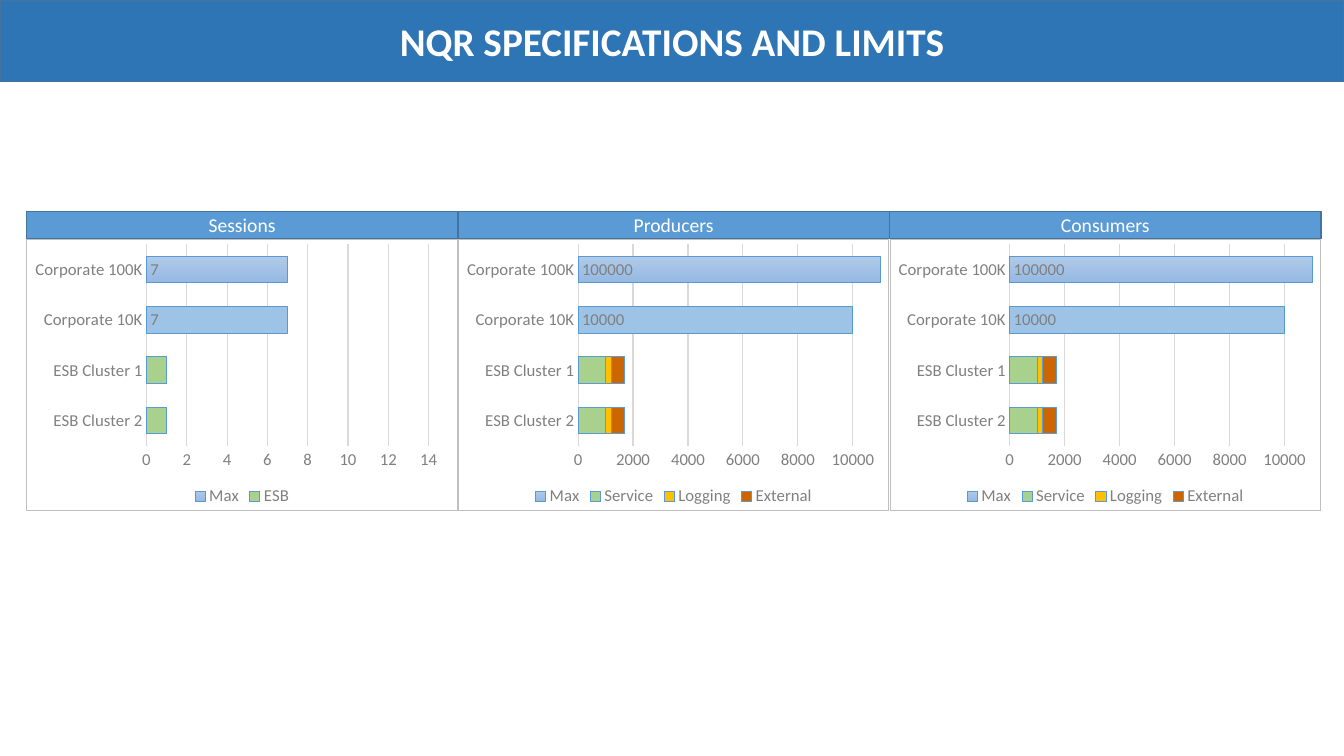
import copy

import pptx
import pptx.chart.data
import pptx.dml.color
import pptx.enum.chart
import pptx.enum.shapes
import pptx.enum.text
import pptx.oxml
import pptx.oxml.ns
import pptx.util

Pt = pptx.util.Pt
qn = pptx.oxml.ns.qn

# Content
TITLE = "NQR SPECIFICATIONS AND LIMITS"
CATEGORIES = ["ESB Cluster 2", "ESB Cluster 1", "Corporate 10K", "Corporate 100K"]
CLIENT_SERIES = [
    ("Max", [None, None, 10000, 100000]),
    ("Service", [1000, 1000, None, None]),
    ("Logging", [200, 200, None, None]),
    ("External", [500, 500, None, None]),
]
SESSION_SERIES = [("Max", [None, None, 7, 7]), ("ESB", [1, 1, None, None])]
PANELS = [  # heading, axis maximum, major unit, series
    ("Sessions", 15, 2, SESSION_SERIES),
    ("Producers", 11000, 2000, CLIENT_SERIES),
    ("Consumers", 11000, 2000, CLIENT_SERIES),
]

# Style
FONT = "Calibri"
COLORS = {
    "banner": "2E75B6", "heading": "5B9BD5", "edge": "43739E", "white": "FFFFFF",
    "text": "808080", "grid": "D9D9D9", "border": "BFBFBF",
    "bar_line": "5B9BD5", "max_line": "5998D0", "max_10k": "9DC3E6",
    "Service": "A9D18E", "ESB": "A9D18E", "Logging": "FFC000", "External": "CC6600",
}
MAX_GRADIENT = ["B1CBE9", "A3C1E5", "93B9E4"]

# Layout
SLIDE_W, SLIDE_H = 960, 540
BANNER_H = 58.3
PANEL_X, PANEL_Y, PANEL_W = 18.8, 151, 308.3
HEADING_H, CHART_H = 19.4, 194.4


def rgb(hex_color):
    return pptx.dml.color.RGBColor.from_string(hex_color)


def set_line(line, name, width=0.75):
    line.color.rgb = rgb(COLORS[name])
    line.width = Pt(width)


def set_font(font, size, name, bold=None):
    font.name, font.size, font.bold = FONT, Pt(size), bold
    font.color.rgb = rgb(COLORS[name])


def add_bar(slide, text, x, y, w, h, fill, size, bold=None):
    sp = slide.shapes.add_shape(
        pptx.enum.shapes.MSO_SHAPE.RECTANGLE, Pt(x), Pt(y), Pt(w), Pt(h))
    sp.shadow.inherit = False
    sp.fill.solid()
    sp.fill.fore_color.rgb = rgb(COLORS[fill])
    set_line(sp.line, "edge", 1)
    tf = sp.text_frame
    tf.word_wrap = True
    tf.margin_top = tf.margin_bottom = 0
    tf.vertical_anchor = pptx.enum.text.MSO_ANCHOR.MIDDLE
    p = tf.paragraphs[0]
    p.text = text
    p.alignment = pptx.enum.text.PP_ALIGN.CENTER
    set_font(p.font, size, "white", bold)


def style_max(series):
    # Three-stop vertical gradient
    fill = series.format.fill
    fill.gradient()
    fill.gradient_angle = 270
    first = fill.gradient_stops[0]._gs
    first.addnext(copy.deepcopy(first))
    for i, (stop, color) in enumerate(zip(fill.gradient_stops, MAX_GRADIENT)):
        stop.position = i / 2
        stop.color.rgb = rgb(color)
    set_line(series.format.line, "max_line")

    # Flat fill for the 10K edition
    point = series.points[CATEGORIES.index("Corporate 10K")].format
    point.fill.solid()
    point.fill.fore_color.rgb = rgb(COLORS["max_10k"])
    set_line(point.line, "max_line")

    labels = series.data_labels
    labels.show_value = True
    labels.position = pptx.enum.chart.XL_LABEL_POSITION.INSIDE_BASE
    set_font(labels.font, 12, "text")


def add_border(chart):
    xml = (f'<c:spPr {pptx.oxml.ns.nsdecls("c", "a")}><a:noFill/><a:ln w="9525">'
           f'<a:solidFill><a:srgbClr val="{COLORS["border"]}"/></a:solidFill>'
           '</a:ln></c:spPr>')
    chart._chartSpace.find(qn("c:chart")).addnext(pptx.oxml.parse_xml(xml))


def add_limits_chart(slide, x, y, maximum, unit, series_list):
    data = pptx.chart.data.CategoryChartData(number_format="General")
    data.categories = CATEGORIES
    for name, values in series_list:
        data.add_series(name, values)
    chart = slide.shapes.add_chart(
        pptx.enum.chart.XL_CHART_TYPE.BAR_STACKED,
        Pt(x), Pt(y), Pt(PANEL_W), Pt(CHART_H), data).chart
    chart.font.name, chart.font.size = FONT, Pt(10)
    chart.has_title = False
    add_border(chart)

    # Legend
    chart.has_legend = True
    chart.legend.position = pptx.enum.chart.XL_LEGEND_POSITION.BOTTOM
    chart.legend.include_in_layout = False
    set_font(chart.legend.font, 12, "text")

    # Axes
    cat, val = chart.category_axis, chart.value_axis
    for axis in (cat, val):
        axis.major_tick_mark = axis.minor_tick_mark = pptx.enum.chart.XL_TICK_MARK.NONE
        set_font(axis.tick_labels.font, 12, "text")
    set_line(cat.format.line, "grid")
    val.format.line.fill.background()
    val.minimum_scale, val.maximum_scale, val.major_unit = 0, maximum, unit
    val.has_major_gridlines = True
    set_line(val.major_gridlines.format.line, "grid")

    # Series
    plot = chart.plots[0]
    plot.gap_width, plot.overlap = 90, 100
    plot.vary_by_categories = False
    for series in plot.series:
        series.invert_if_negative = False
        if series.name == "Max":
            style_max(series)
        else:
            series.format.fill.solid()
            series.format.fill.fore_color.rgb = rgb(COLORS[series.name])
            set_line(series.format.line, "bar_line")


def main():
    prs = pptx.Presentation()
    prs.slide_width, prs.slide_height = Pt(SLIDE_W), Pt(SLIDE_H)
    s = prs.slides.add_slide(prs.slide_layouts[6])

    # Chart panels
    for i, (heading, maximum, unit, series_list) in enumerate(PANELS):
        x = PANEL_X + i * PANEL_W
        add_limits_chart(s, x, PANEL_Y + HEADING_H, maximum, unit, series_list)
        add_bar(s, heading, x, PANEL_Y, PANEL_W, HEADING_H, "heading", 14)

    # Title banner
    add_bar(s, TITLE, 0, 0, SLIDE_W, BANNER_H, "banner", 28, True)
    prs.save("out.pptx")


if __name__ == "__main__":
    main()
